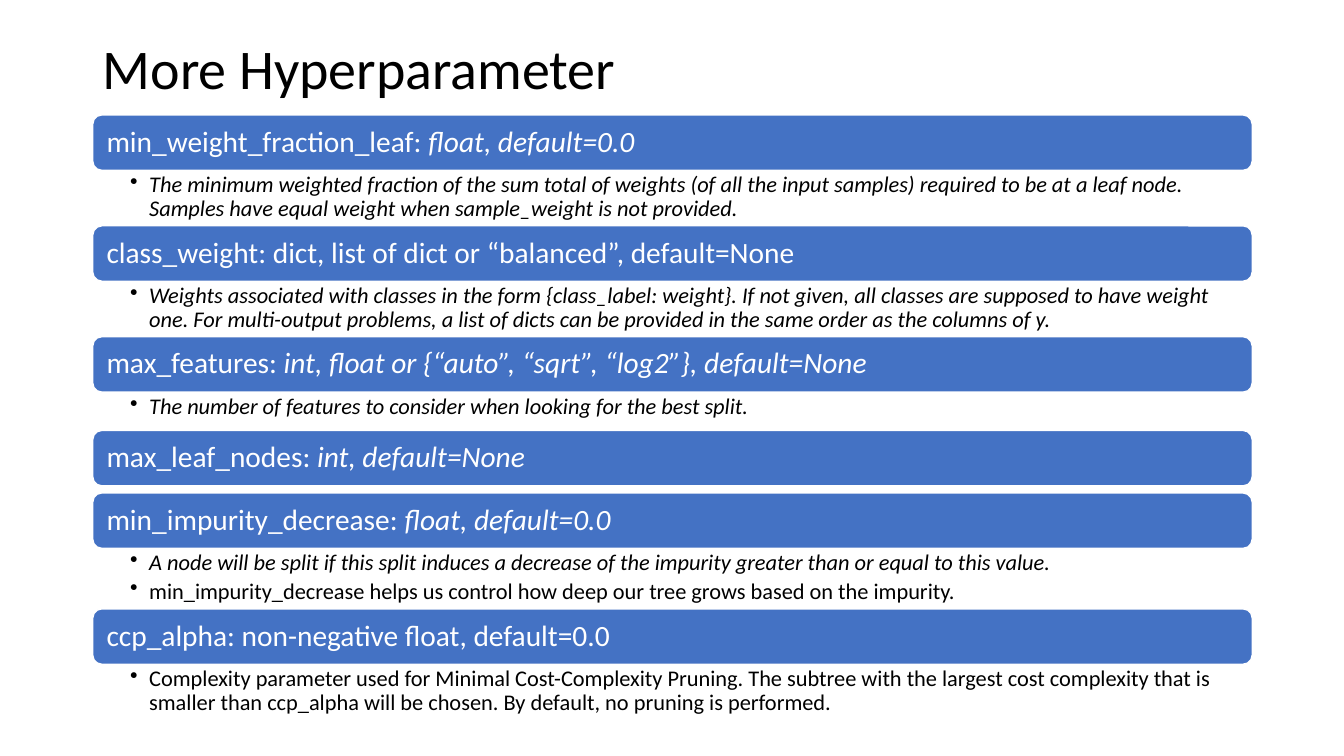
"""Build the "More Hyperparameter" slide: parameter bars with bulleted explanations."""
from dataclasses import dataclass

from lxml import etree
from pptx import Presentation
from pptx.dml.color import RGBColor
from pptx.enum.shapes import MSO_SHAPE
from pptx.enum.text import MSO_ANCHOR, PP_ALIGN
from pptx.oxml.ns import qn
from pptx.util import Inches, Pt

ROUNDED = MSO_SHAPE.ROUNDED_RECTANGLE
TOP, MIDDLE = MSO_ANCHOR.TOP, MSO_ANCHOR.MIDDLE
LEFT = PP_ALIGN.LEFT

TITLE = "More Hyperparameter"

# name, type in plain or italic style, notes and the height given to those notes
PARAMETERS = [
    {"name": "min_weight_fraction_leaf: ", "type": "float, default=0.0", "space": 0.55,
     "notes": [("The minimum weighted fraction of the sum total of weights (of all the input "
                "samples) required to be at a leaf node. Samples have equal weight when "
                "sample_weight is not provided.", True)]},
    {"name": "class_weight: dict, list of dict or “balanced”, default=None", "type": "",
     "space": 0.55,
     "notes": [("Weights associated with classes in the form {class_label: weight}. If not "
                "given, all classes are supposed to have weight one. For multi-output problems, "
                "a list of dicts can be provided in the same order as the columns of y.", True)]},
    {"name": "max_features: ", "type": "int, float or {“auto”, “sqrt”, “log2”}, default=None",
     "space": 0.38,
     "notes": [("The number of features to consider when looking for the best split.", True)]},
    {"name": "max_leaf_nodes: ", "type": "int, default=None", "space": 0.07, "notes": []},
    {"name": "min_impurity_decrease: ", "type": "float, default=0.0", "space": 0.6,
     "notes": [("A node will be split if this split induces a decrease of the impurity greater "
                "than or equal to this value.", True),
               ("min_impurity_decrease helps us control how deep our tree grows based on the "
                "impurity.", False)]},
    {"name": "ccp_alpha: non-negative float, default=0.0", "type": "", "space": 0.55,
     "notes": [("Complexity parameter used for Minimal Cost-Complexity Pruning. The subtree with "
                "the largest cost complexity that is smaller than ccp_alpha will be chosen. "
                "By default, no pruning is performed.", False)]},
]


@dataclass(frozen=True)
class Theme:
    """Colours, font and type sizes."""
    font: str = "Calibri"
    bar: RGBColor = RGBColor(0x44, 0x72, 0xC4)
    light: RGBColor = RGBColor(0xFF, 0xFF, 0xFF)
    dark: RGBColor = RGBColor(0, 0, 0)
    title_size: int = 40
    bar_size: int = 21
    note_size: int = 16


THEME = Theme()
SLIDE_WIDTH, SLIDE_HEIGHT = 13.33, 7.5
MARGIN, COLUMN_WIDTH = 0.92, 11.5
TITLE_TOP, TITLE_HEIGHT = 0.31, 0.79
LIST_TOP, BAR_HEIGHT = 1.14, 0.55
BULLET_INDENT = 0.19


def prepare_frame(shape, anchor, insets):
    """Set wrapping, anchor and left, top, right, bottom insets."""
    frame = shape.text_frame
    frame.word_wrap = True
    frame.vertical_anchor = anchor
    (frame.margin_left, frame.margin_top,
     frame.margin_right, frame.margin_bottom) = map(Inches, insets)
    return frame


def write_paragraph(paragraph, runs, size, color):
    """Fill a paragraph with (text, italic) runs in one size and colour."""
    paragraph.alignment = LEFT
    paragraph.line_spacing = 0.9
    paragraph.font.name = THEME.font
    paragraph.font.size = Pt(size)
    paragraph.font.color.rgb = color
    for text, italic in runs:
        run = paragraph.add_run()
        run.text = text
        run.font.italic = italic


def add_bullet(paragraph):
    """Give a paragraph a hanging round bullet."""
    properties = paragraph._p.get_or_add_pPr()
    properties.set("marL", str(Inches(BULLET_INDENT)))
    properties.set("indent", str(-Inches(BULLET_INDENT)))
    bullet = etree.Element(qn("a:buChar"), char="•")
    properties.find(qn("a:defRPr")).addprevious(bullet)


def add_text_box(slide, top, height, anchor, insets):
    """Add a text box across the content column."""
    box = slide.shapes.add_textbox(
        Inches(MARGIN), Inches(top), Inches(COLUMN_WIDTH), Inches(height))
    return prepare_frame(box, anchor, insets)


def add_bar(slide, top, parameter):
    """Add the rounded bar that names a parameter."""
    bar = slide.shapes.add_shape(
        ROUNDED, Inches(MARGIN), Inches(top), Inches(COLUMN_WIDTH), Inches(BAR_HEIGHT))
    bar.shadow.inherit = False
    bar.fill.solid()
    bar.fill.fore_color.rgb = THEME.bar
    bar.line.color.rgb = THEME.light
    bar.line.width = Pt(1)
    frame = prepare_frame(bar, MIDDLE, (0.11, 0.09, 0.11, 0.09))
    runs = [(parameter["name"], False), (parameter["type"], True)]
    write_paragraph(frame.paragraphs[0], [run for run in runs if run[0]],
                    THEME.bar_size, THEME.light)


def add_notes(slide, top, parameter):
    """Add the bulleted explanations below a bar."""
    frame = add_text_box(slide, top, parameter["space"], TOP, (0.37, 0.03, 0.16, 0.03))
    for index, note in enumerate(parameter["notes"]):
        paragraph = frame.add_paragraph() if index else frame.paragraphs[0]
        write_paragraph(paragraph, [note], THEME.note_size, THEME.dark)
        paragraph.space_after = Pt(3)
        add_bullet(paragraph)


def main():
    """Lay out the slide and save it."""
    presentation = Presentation()
    presentation.slide_width = Inches(SLIDE_WIDTH)
    presentation.slide_height = Inches(SLIDE_HEIGHT)
    slide = presentation.slides.add_slide(presentation.slide_layouts[6])

    title = add_text_box(slide, TITLE_TOP, TITLE_HEIGHT, MIDDLE, (0.1, 0.05, 0.1, 0.05))
    write_paragraph(title.paragraphs[0], [(TITLE, False)], THEME.title_size, THEME.dark)

    top = LIST_TOP
    for parameter in PARAMETERS:
        add_bar(slide, top, parameter)
        top += BAR_HEIGHT
        if parameter["notes"]:
            add_notes(slide, top, parameter)
        top += parameter["space"]

    presentation.save("out.pptx")


if __name__ == "__main__":
    main()
